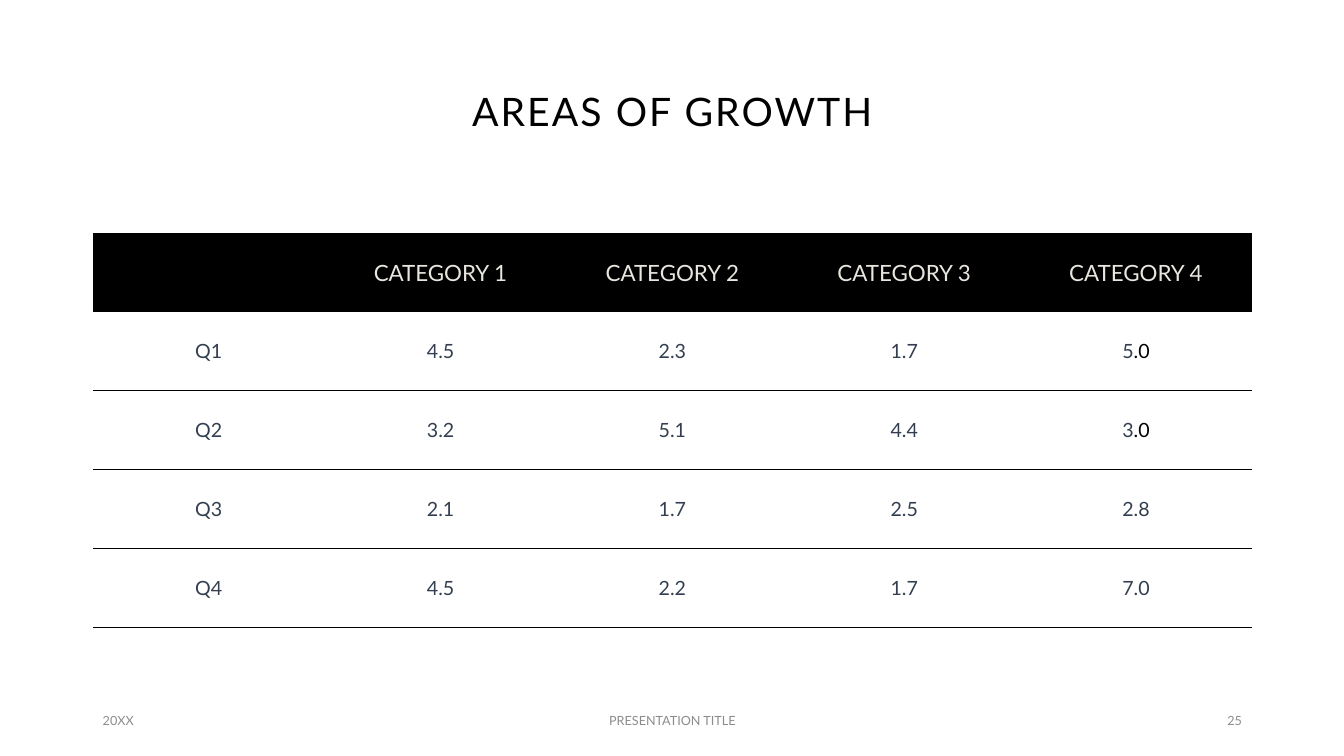
from lxml.etree import SubElement as Sub
from pptx import Presentation
from pptx.dml.color import RGBColor as Rgb
from pptx.enum.text import MSO_ANCHOR as Anchor, PP_ALIGN as Align
from pptx.oxml.ns import qn
from pptx.util import Cm, Pt

FONT = "Lato"
INK = {"black": "000000", "cream": "E9E6DF", "slate": "333F50", "gray": "8C8C8C"}
LEFT, WIDE = 2.34, 29.21
HEAD = ["", "CATEGORY 1", "CATEGORY 2", "CATEGORY 3", "CATEGORY 4"]
BODY = [
    ["Q1", "4.5", "2.3", "1.7", ("5", ".0")],
    ["Q2", "3.2", "5.1", "4.4", ("3", ".0")],
    ["Q3", "2.1", "1.7", "2.5", "2.8"],
    ["Q4", "4.5", "2.2", "1.7", "7.0"],
]
PLAIN = "{2D5ABB26-0587-4C30-8999-92F81FD0307C}"


def style(run, size, ink):
    run.font.name = FONT
    run.font.size = Pt(size)
    run.font.color.rgb = Rgb.from_string(INK[ink])


def label(slide, box, text, size, ink, align):
    frame = slide.shapes.add_textbox(*map(Cm, box)).text_frame
    frame.word_wrap = True
    frame.vertical_anchor = Anchor.MIDDLE
    para = frame.paragraphs[0]
    para.text = text
    para.alignment = align
    style(para.runs[0], size, ink)
    return para


def title(slide, box):
    para = label(slide, box, "AREAS OF GROWTH", 28, "black", Align.CENTER)
    para.line_spacing = 0.9
    para.runs[0].font._element.set("spc", "150")


def rule(cell):
    props = cell._tc.get_or_add_tcPr()
    for side in ("lnL", "lnR", "lnT", "lnB"):
        line = Sub(props, qn("a:" + side), w=str(Pt(0.5)))
        if side in ("lnT", "lnB"):
            fill = Sub(line, qn("a:solidFill"))
            Sub(fill, qn("a:srgbClr"), val=INK["black"])
        else:
            Sub(line, qn("a:noFill"))


def fill_cell(cell, value, top):
    rule(cell)
    if top:
        cell.fill.solid()
        cell.fill.fore_color.rgb = Rgb.from_string(INK["black"])
    else:
        cell.fill.background()
    cell.vertical_anchor = Anchor.MIDDLE
    para = cell.text_frame.paragraphs[0]
    para.alignment = Align.CENTER
    if not value:
        return
    parts = value if isinstance(value, tuple) else (value,)
    inks = ("cream",) if top else ("slate", "black")
    for part, ink in zip(parts, inks):
        run = para.add_run()
        run.text = part
        style(run, 16 if top else 14, ink)


def grid(slide, box):
    data = [HEAD] + BODY
    frame = slide.shapes.add_table(len(data), len(HEAD), *map(Cm, box))
    table = frame.table
    table.first_row = True
    table.horz_banding = False
    table._tbl.tblPr.find(qn("a:tableStyleId")).text = PLAIN
    for col in table.columns:
        col.width = Cm(box[2] / len(HEAD))
    for r, row in enumerate(data):
        table.rows[r].height = Cm(box[3] / len(data))
        for c, value in enumerate(row):
            fill_cell(table.cell(r, c), value, r == 0)


def footer(slide, box):
    left, top, wide, high = box
    side, mid = 7.62, 11.43
    parts = [
        ("20XX", left, side, Align.LEFT),
        ("PRESENTATION TITLE", left + (wide - mid) / 2, mid, Align.CENTER),
        ("25", left + wide - side, side, Align.RIGHT),
    ]
    for text, x, w, align in parts:
        label(slide, (x, top, w, high), text, 9, "gray", align)


def main():
    deck = Presentation()
    deck.slide_width, deck.slide_height = Cm(33.87), Cm(19.05)
    slide = deck.slides.add_slide(deck.slide_layouts[6])
    title(slide, (LEFT, 1.02, WIDE, 3.68))
    grid(slide, (LEFT, 5.87, WIDE, 9.93))
    footer(slide, (LEFT, 17.65, WIDE, 1.02))
    deck.save("out.pptx")


if __name__ == "__main__":
    main()
